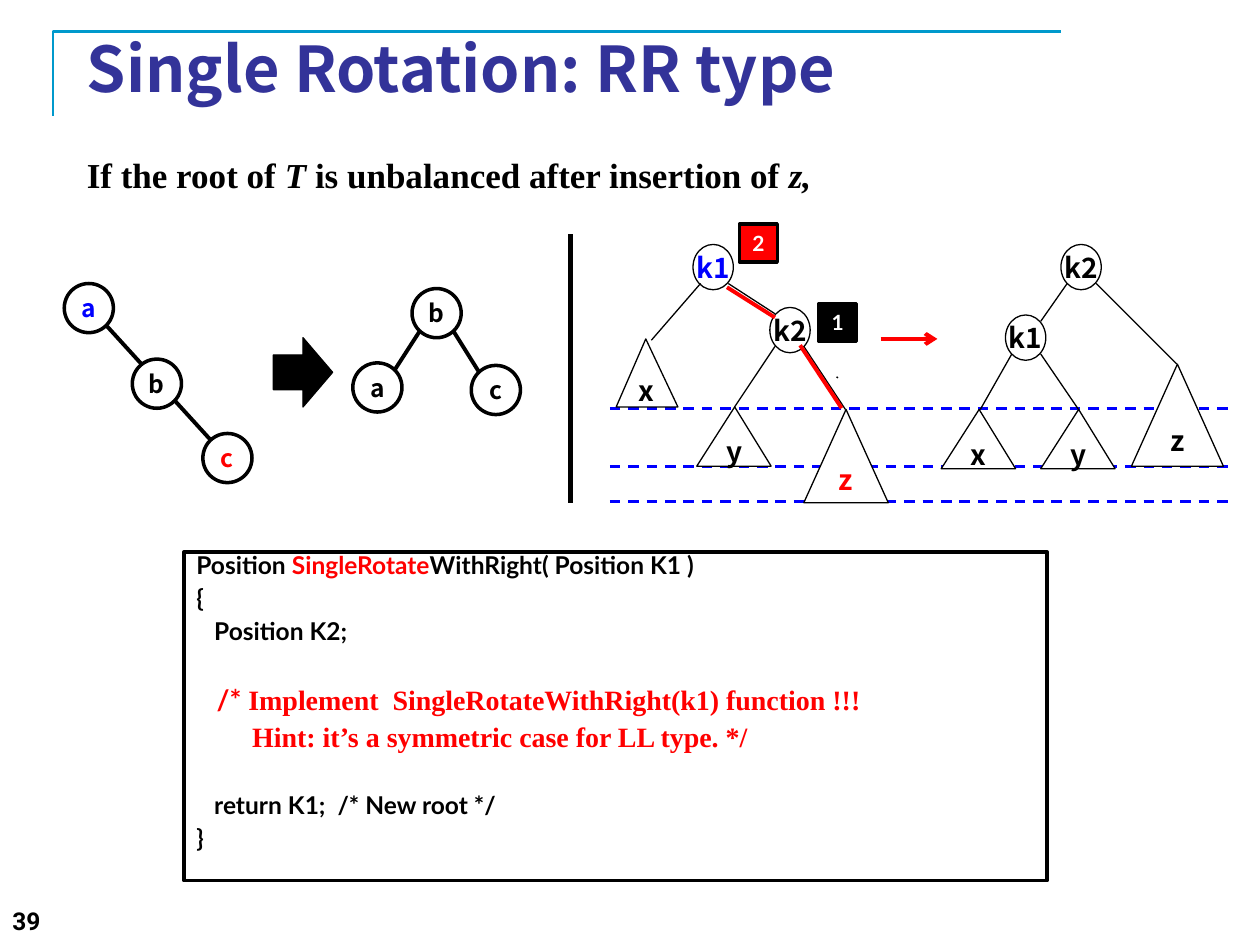
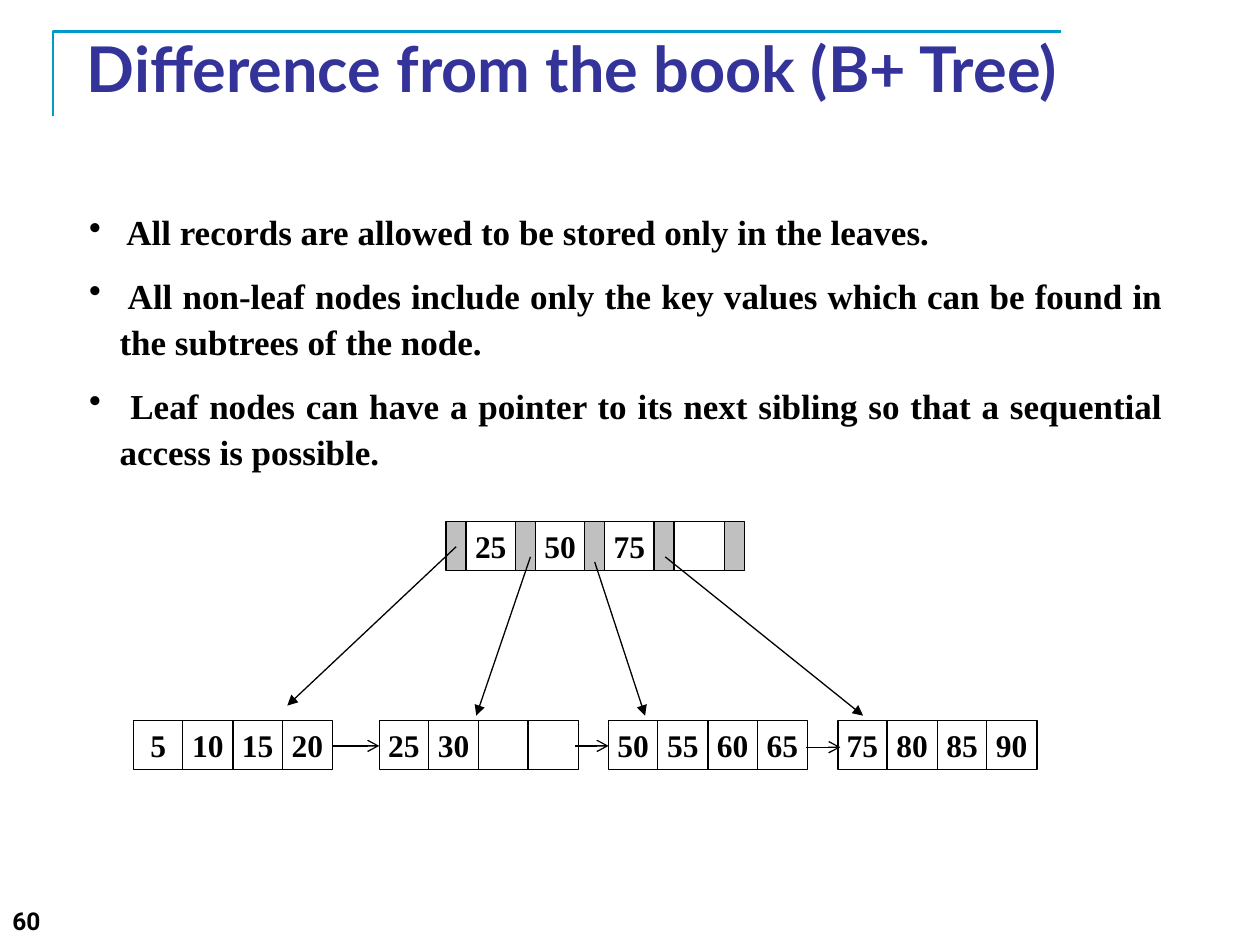
import pptx
import pptx.util
import pptx.dml.color
import pptx.enum.dml
import pptx.enum.shapes
import pptx.enum.text
import pptx.oxml
import pptx.oxml.ns

PX = 9144  # EMU in one px, a hundredth of an inch
BLACK, WHITE, RED, BLUE = "000000", "FFFFFF", "FF0000", "0000FF"
TITLE_BLUE, FRAME_BLUE, GREY = "333399", "0099CC", "C0C0C0"
SANS, LATO, SERIF = "Noto Sans CJK KR", "Lato", "Times New Roman"
KIND = pptx.enum.shapes.MSO_SHAPE
ALIGN = pptx.enum.text.PP_ALIGN
ANCHOR = pptx.enum.text.MSO_ANCHOR


def px(length):
    return pptx.util.Emu(length * PX)


def rgb(value):
    return pptx.dml.color.RGBColor.from_string(value)


def style_font(font, name, size, color=BLACK, bold=True, italic=False):
    font.name, font.size = name, pptx.util.Pt(size)
    font.bold, font.italic = bold, italic
    font.color.rgb = rgb(color)


def add_spans(para, spans, **base):
    """Each span is its text and the font settings that differ from base."""
    for text, changes in spans:
        span = para.add_run()
        span.text = text
        style_font(span.font, **{**base, **changes})


def add_xml(parent, tag, **attributes):
    child = pptx.oxml.parse_xml(f"<{tag} {pptx.oxml.ns.nsdecls('a')}/>")
    for name, value in attributes.items():
        child.set(name, value)
    parent.append(child)


class Region:
    """Draws on a page at positions counted from its own corner."""

    def __init__(self, page, left, top):
        self.shapes, self.left, self.top = page.shapes, left, top

    def at(self, x, y):
        return px(self.left + x), px(self.top + y)

    def line(self, start, end, color=BLACK, width=0.75, dash=False, head=None):
        line = self.shapes.add_connector(
            pptx.enum.shapes.MSO_CONNECTOR.STRAIGHT, *self.at(*start), *self.at(*end))
        line.line.color.rgb = rgb(color)
        line.line.width = pptx.util.Pt(width)
        if dash:
            line.line.dash_style = pptx.enum.dml.MSO_LINE.DASH
        properties = line.element.spPr
        if head:
            add_xml(properties.find(pptx.oxml.ns.qn("a:ln")), "a:tailEnd", type=head)
        add_xml(properties, "a:effectLst")

    def shape(self, kind, x, y, width, height, text="", fill=WHITE, line_width=0.75,
              apex=None, **font):
        shape = self.shapes.add_shape(kind, *self.at(x, y), px(width), px(height))
        shape.shadow.inherit = False
        if fill:
            shape.fill.solid()
            shape.fill.fore_color.rgb = rgb(fill)
        else:
            shape.fill.background()
        shape.line.color.rgb = rgb(BLACK)
        shape.line.width = pptx.util.Pt(line_width)
        if apex:
            shape.adjustments[0] = apex
        if text:
            frame = shape.text_frame
            frame.word_wrap = False
            frame.margin_left = frame.margin_right = 0
            frame.margin_top = frame.margin_bottom = 0
            frame.vertical_anchor = ANCHOR.MIDDLE
            para = frame.paragraphs[0]
            para.text = text
            para.alignment = ALIGN.CENTER
            style_font(para.runs[0].font, **font)
        return shape

    def text_box(self, width, height):
        box = self.shapes.add_textbox(*self.at(0, 0), px(width), px(height))
        box.text_frame.word_wrap = True
        return box.text_frame


def add_page(deck, title, title_font, number):
    page = deck.slides.add_slide(deck.slide_layouts[5])
    corner = page.shapes.build_freeform(42, 92, scale=PX)
    corner.add_line_segments([(42, 25), (842, 25)], close=False)
    frame_line = corner.convert_to_shape()
    frame_line.shadow.inherit = False
    frame_line.fill.background()
    frame_line.line.color.rgb = rgb(FRAME_BLUE)
    frame_line.line.width = pptx.util.Pt(1.5)

    heading = page.shapes.title
    heading.left, heading.top = px(59), px(30)
    heading.width, heading.height = px(850), px(47)
    frame = heading.text_frame
    frame.text = title
    frame.word_wrap = True
    frame.auto_size = pptx.enum.text.MSO_AUTO_SIZE.NONE
    frame.vertical_anchor = ANCHOR.MIDDLE
    frame.paragraphs[0].alignment = ALIGN.JUSTIFY
    style_font(frame.paragraphs[0].runs[0].font, title_font, 36, TITLE_BLUE)

    footer = Region(page, 0, 714).text_box(312, 36)
    footer.text = str(number)
    style_font(footer.paragraphs[0].runs[0].font, "Roboto", 14)
    return page


def add_condition(page, left, top):
    para = Region(page, left, top).text_box(778, 44).paragraphs[0]
    para.alignment = ALIGN.JUSTIFY
    slanted = {"italic": True}
    add_spans(para, [("If the root of ", {}), ("T ", slanted),
                     ("is unbalanced after insertion of ", {}), ("z,", slanted)],
              name=SERIF, size=20)


def add_simple_rotation(page, left, top):
    region = Region(page, left, top)
    region.line((34, 34), (116, 124), width=2.25)
    for label, x, y, color in [
            ("a", 0, 0, BLUE), ("b", 54, 60, BLACK), ("c", 110, 119, RED),
            ("b", 276, 4, BLACK), ("a", 229, 63, BLACK), ("c", 323, 65, BLACK)]:
        region.shape(KIND.OVAL, x, y, 39, 39, label, line_width=2,
                     name=SANS, size=14, color=color)
    region.line((282, 38), (262, 69), width=2.25)
    region.line((309, 38), (329, 70), width=2.25)
    region.shape(KIND.RIGHT_ARROW, 166, 43, 47, 55, fill=BLACK)


def add_subtree_rotation(page, left, top):
    region = Region(page, left, top)
    for level in (220, 192, 146):
        region.line((0, level), (496, level), BLUE, 1.5, dash=True)
    for label, x, y, color in [("k1", 66, 16, BLUE), ("k2", 127, 66, BLACK),
                               ("k1", 314, 72, BLACK), ("k2", 358, 16, BLACK)]:
        region.shape(KIND.OVAL, x, y, 32, 36, label, name=SANS, size=16, color=color)
    for label, x, y, width, height, apex, color in [
            ("z", 154, 147, 67, 74, 0.5, RED), ("y", 69, 145, 59, 47, 0.51, BLACK),
            ("x", 5, 91, 49, 54, 0.48, BLACK), ("z", 414, 111, 73, 81, 0.5, BLACK),
            ("x", 263, 147, 59, 47, 0.51, BLACK), ("y", 342, 147, 59, 47, 0.51, BLACK)]:
        region.shape(KIND.ISOSCELES_TRIANGLE, x, y, width, height, label, apex=apex,
                     name=SANS, size=16, color=color)
    for start, end in [
            ((72, 47), (33, 92)), ((131, 71), (94, 47)), ((99, 145), (131, 97)),
            ((187, 147), (154, 97)), ((180, 121), (181, 122)), ((363, 47), (342, 77)),
            ((294, 147), (319, 103)), ((450, 111), (386, 47)), ((372, 147), (342, 103))]:
        region.line(start, end)
    region.line((215, 91), (260, 91), RED, 2.25, head="arrow")
    region.line((131, 74), (93, 50), RED, 2.25)
    region.line((184, 146), (151, 96), RED, 2.25)
    for balance, x, y, fill in [("1", 166, 63, BLACK), ("2", 103, 0, RED)]:
        region.shape(KIND.RECTANGLE, x, y, 30, 30, balance, fill=fill, line_width=2,
                     name=LATO, size=12, color=WHITE)


def add_code(page, left, top):
    box = Region(page, left, top).shape(KIND.RECTANGLE, 0, 0, 685, 261, line_width=2)
    frame = box.text_frame
    frame.word_wrap = True
    frame.vertical_anchor = ANCHOR.TOP
    red = {"color": RED}
    note = {"name": SERIF, "size": 16, "color": RED}
    lines = [
        (0, [("Position ", {}), ("SingleRotate", red), ("WithRight( Position K1 )", {})]),
        (7, [("{", {})]),
        (7, [("   Position K2;", {})]),
        (27, [("   /* ", {"size": 16, "color": RED}),
              ("Implement  SingleRotateWithRight(k1) function !!!", note)]),
        (8, [("        Hint: it’s a symmetric case for LL type. */", note)]),
        (26, [("   return K1;  /* New root */", {})]),
        (7, [("}", {})])]
    for index, (gap, spans) in enumerate(lines):
        para = frame.add_paragraph() if index else frame.paragraphs[0]
        para.alignment = ALIGN.JUSTIFY
        para.line_spacing = 0.7
        para.space_before = pptx.util.Pt(gap)
        add_spans(para, spans, name=LATO, size=14)


def add_bullets(page, left, top, items):
    frame = Region(page, left, top).text_box(872, 227)
    for index, item in enumerate(items):
        para = frame.add_paragraph() if index else frame.paragraphs[0]
        para.text = item
        properties = para._p.get_or_add_pPr()
        properties.set("marL", str(px(24)))
        properties.set("indent", str(px(-24)))
        add_xml(properties, "a:buChar", char="•")
        para.alignment = ALIGN.JUSTIFY
        para.line_spacing = 1.1
        para.space_before = pptx.util.Pt(10 if index else 0)
        style_font(para.runs[0].font, SERIF, 20)


def add_key_cell(region, x, width, key):
    region.shape(KIND.RECTANGLE, x, 0, width, 39, key, fill=None, name=SERIF, size=18)


def add_leaf(page, left, top, keys):
    region = Region(page, left, top)
    edges = [158 * index // 4 for index in range(5)]
    for key, start, end in zip(keys, edges, edges[1:]):
        add_key_cell(region, start, end - start, key)


def add_root(page, left, top, keys):
    region = Region(page, left, top)
    pointers = [221 * index // 4 for index in range(5)]
    for key, start, end in zip(keys, pointers, pointers[1:]):
        add_key_cell(region, start + 16, end - start - 16, key)
    for start in pointers:
        region.shape(KIND.RECTANGLE, start, 0, 16, 39, fill=GREY)


def add_plus_tree(page, left, top):
    add_root(page, left + 248, top, ["25", "50", "75", ""])
    for x, keys in [(0, ["5", "10", "15", "20"]), (195, ["25", "30", "", ""]),
                    (377, ["50", "55", "60", "65"]), (559, ["75", "80", "85", "90"])]:
        add_leaf(page, left + x, top + 158, keys)
    region = Region(page, left, top)
    for start, end in [((256, 20), (122, 146)), ((315, 28), (272, 154)),
                       ((366, 32), (406, 154)), ((422, 28), (579, 154))]:
        region.line(start, end, head="triangle")
    for start, end, y in [(158, 195, 178), (350, 377, 178), (534, 561, 179)]:
        region.line((start, y), (end, y), head="arrow")


def main():
    deck = pptx.Presentation()
    deck.slide_width, deck.slide_height = px(1000), px(750)

    page = add_page(deck, "Single Rotation: RR type", SANS, 39)
    add_condition(page, 59, 117)
    add_simple_rotation(page, 51, 225)
    Region(page, 453, 186).line((0, 0), (0, 213), width=3)
    add_subtree_rotation(page, 484, 178)
    add_code(page, 146, 438)

    page = add_page(deck, "Difference from the book (B+ Tree)", LATO, 60)
    add_bullets(page, 61, 159, [
        " All records are allowed to be stored only in the leaves.",
        " All non-leaf nodes include only the key values which can be found in "
        "the subtrees of the node.",
        " Leaf nodes can have a pointer to its next sibling so that a sequential "
        "access is possible."])
    add_plus_tree(page, 106, 414)

    deck.save("out.pptx")


if __name__ == "__main__":
    main()
